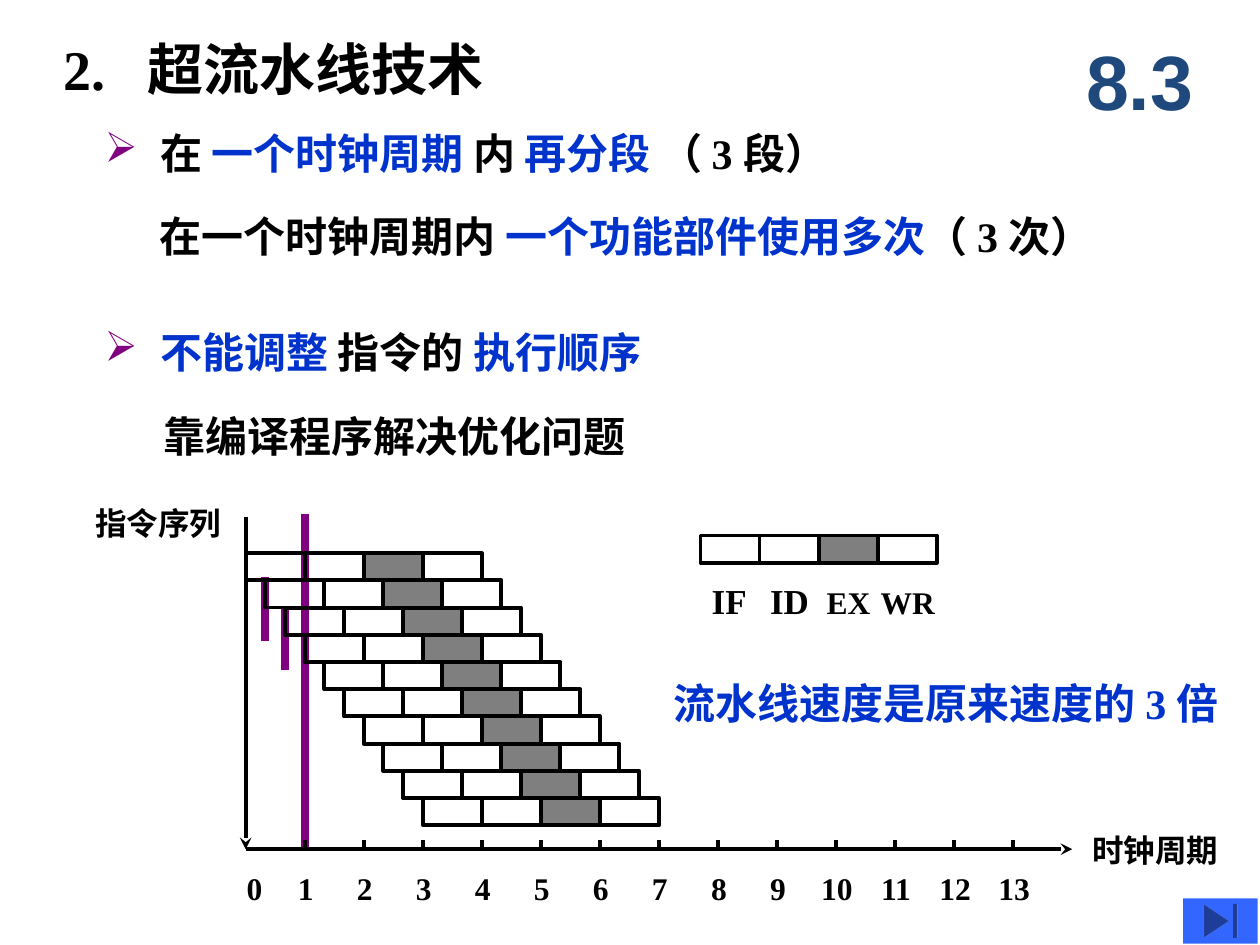
from dataclasses import dataclass

from lxml import etree
from pptx import Presentation
from pptx.dml.color import RGBColor
from pptx.enum import shapes, text
from pptx.oxml import ns
from pptx.util import Inches, Pt


@dataclass(frozen=True)
class Theme:
    black: str = "000000"
    blue: str = "0033CC"
    purple: str = "800080"
    navy: str = "1F497D"
    button: str = "3366FF"
    serif: str = "Times New Roman"
    sans: str = "Arial"
    title: int = 32
    section: int = 44
    body: int = 24
    stage: int = 20
    label: int = 18
    outline: float = 2.25
    marker: float = 4.5


T = Theme()
ORIGIN_X, AXIS_Y = 1.95, 6.74
CYCLES = 13
CYCLE = 6.09 / CYCLES
ROWS, ROWS_TOP, ROW_H = 10, 4.39, 0.216
SEGMENTS = 3


def rgb(color):
    return RGBColor.from_string(color)


def sub(parent, tag, **attrs):
    return etree.SubElement(parent, ns.qn(tag), attrs)


def write(sp, runs, *, size=T.body, font=T.serif, color=T.black, align=text.PP_ALIGN.LEFT,
          anchor=text.MSO_ANCHOR.TOP, inset=0.1, bullet=None, hang=0, tabs=()):
    """Fill sp with one paragraph; runs is a string or (text, overrides) pairs."""
    tf = sp.text_frame
    tf.word_wrap = True
    tf.auto_size = text.MSO_AUTO_SIZE.NONE
    tf.vertical_anchor = anchor
    tf.margin_left = tf.margin_right = Inches(inset)
    tf.margin_top = tf.margin_bottom = Inches(0.05)
    p = tf.paragraphs[0]
    p.alignment = align
    pPr = p._p.get_or_add_pPr()
    if bullet:
        pPr.set("marL", str(Inches(hang)))
        pPr.set("indent", str(-Inches(hang)))
        sub(sub(pPr, "a:buClr"), "a:srgbClr", val=T.purple)
        sub(pPr, "a:buChar", char=bullet)
    if tabs:
        tab_list = sub(pPr, "a:tabLst")
        for pos, kind in tabs:
            sub(tab_list, "a:tab", pos=str(Inches(pos)), algn=kind)
    for content, override in [(runs, {})] if isinstance(runs, str) else runs:
        r = p.add_run()
        r.text = content
        r.font.name = font
        r.font.bold = True
        r.font.size = Pt(override.get("size", size))
        r.font.color.rgb = rgb(override.get("color", color))


def add_text(s, at, runs, **fmt):
    sp = s.shapes.add_textbox(*map(Inches, at))
    write(sp, runs, **fmt)


def add_line(s, start, end, *, color=T.black, width=T.outline, arrow=False):
    c = s.shapes.add_connector(shapes.MSO_CONNECTOR.STRAIGHT, *map(Inches, start + end))
    c.line.color.rgb = rgb(color)
    c.line.width = Pt(width)
    if arrow:
        sub(c.line._get_or_add_ln(), "a:tailEnd", type="stealth")
    sub(c._element.spPr, "a:effectLst")


def add_instruction(s, left, top):
    """Four stages in a row, with the EX stage shaded."""
    for stage in range(4):
        sp = s.shapes.add_shape(shapes.MSO_SHAPE.RECTANGLE, Inches(left + stage * CYCLE),
                                Inches(top), Inches(CYCLE), Inches(ROW_H))
        sp.shadow.inherit = False
        sp.line.color.rgb = rgb(T.black)
        sp.line.width = Pt(T.outline)
        if stage == 2:
            sp.fill.solid()
            sp.fill.fore_color.rgb = rgb(T.black)
            fill = sp._element.spPr.find(ns.qn("a:solidFill"))
            sub(fill[0], "a:alpha", val="50000")
        else:
            sp.fill.background()


def add_heading(s):
    title = s.shapes.title
    title.left, title.top, title.width, title.height = map(Inches, (0.5, 0.25, 4.81, 0.58))
    write(title, "2.\t超流水线技术", size=T.title, inset=0,
          anchor=text.MSO_ANCHOR.MIDDLE, tabs=[(0.67, "l")])
    add_text(s, (8.42, 0.17, 1.25, 0.92), "8.3", size=T.section, font=T.sans, color=T.navy,
             align=text.PP_ALIGN.CENTER, anchor=text.MSO_ANCHOR.MIDDLE)


def add_points(s):
    blue = {"color": T.blue}
    middle = {"inset": 0, "anchor": text.MSO_ANCHOR.MIDDLE}
    point = {"bullet": "➢", "hang": 0.44, **middle}
    add_text(s, (0.83, 0.92, 7.55, 0.58),
             [("在 ", {}), ("一个时钟周期 ", blue), ("内 ", {}), ("再分段 ", blue),
              ("（ 3 段）", {})], **point)
    add_text(s, (1.27, 1.58, 8.67, 0.58),
             [("在一个时钟周期内 ", {}), ("一个功能部件使用多次", blue), ("（ 3 次）", {})],
             **middle)
    add_text(s, (0.83, 2.5, 4.92, 0.58),
             [("不能调整 ", blue), ("指令的 ", {}), ("执行顺序", blue)], **point)
    add_text(s, (1.3, 3.17, 4.75, 0.58), "靠编译程序解决优化问题", **middle)
    add_text(s, (5.25, 5.33, 5.08, 0.5), "流水线速度是原来速度的 3 倍", color=T.blue)


def add_pipeline(s):
    for x, top, bottom in ((ORIGIN_X + CYCLE, 4.08, 6.73),
                           (ORIGIN_X + CYCLE / 3, 4.58, 5.09),
                           (ORIGIN_X + CYCLE * 2 / 3, 4.83, 5.32)):
        add_line(s, (x, top), (x, bottom), color=T.purple, width=T.marker)
    for row in range(ROWS):
        add_instruction(s, ORIGIN_X + row * CYCLE / SEGMENTS, ROWS_TOP + row * ROW_H)


def add_axes(s):
    origin = (ORIGIN_X, AXIS_Y)
    add_line(s, (ORIGIN_X, 4.1), origin, arrow=True)
    add_line(s, origin, (8.51, AXIS_Y), arrow=True)
    for n in range(1, CYCLES + 1):
        x = ORIGIN_X + n * CYCLE
        add_line(s, (x, AXIS_Y - 0.07), (x, AXIS_Y))
    add_text(s, (1.86, 6.85, 6.6, 0.4), "\t".join(map(str, range(CYCLES + 1))), size=T.label,
             tabs=[(n * CYCLE, "ctr") for n in range(1, CYCLES + 1)])
    add_text(s, (8.57, 6.55, 1.43, 0.4), "时钟周期", size=T.label)
    add_text(s, (0.66, 3.95, 1.43, 0.4), "指令序列", size=T.label)


def add_legend(s):
    add_instruction(s, 5.56, 4.25)
    add_text(s, (5.55, 4.55, 2.04, 0.44), [("IF\tID\t", {}), ("EX\tWR", {"size": T.label})],
             size=T.stage, tabs=[(0.15 + n * CYCLE, "ctr") for n in range(1, 4)])


def add_next_button(s):
    sp = s.shapes.add_shape(shapes.MSO_SHAPE.ACTION_BUTTON_END,
                            *map(Inches, (9.39, 7.13, 0.59, 0.36)))
    sp.shadow.inherit = False
    sp.fill.solid()
    sp.fill.fore_color.rgb = rgb(T.button)
    sp.line.fill.background()


def main():
    prs = Presentation()
    prs.slide_width, prs.slide_height = Inches(10), Inches(7.5)
    s = prs.slides.add_slide(prs.slide_layouts[5])
    add_heading(s)
    add_points(s)
    add_pipeline(s)
    add_axes(s)
    add_legend(s)
    add_next_button(s)
    prs.save("out.pptx")


if __name__ == "__main__":
    main()
